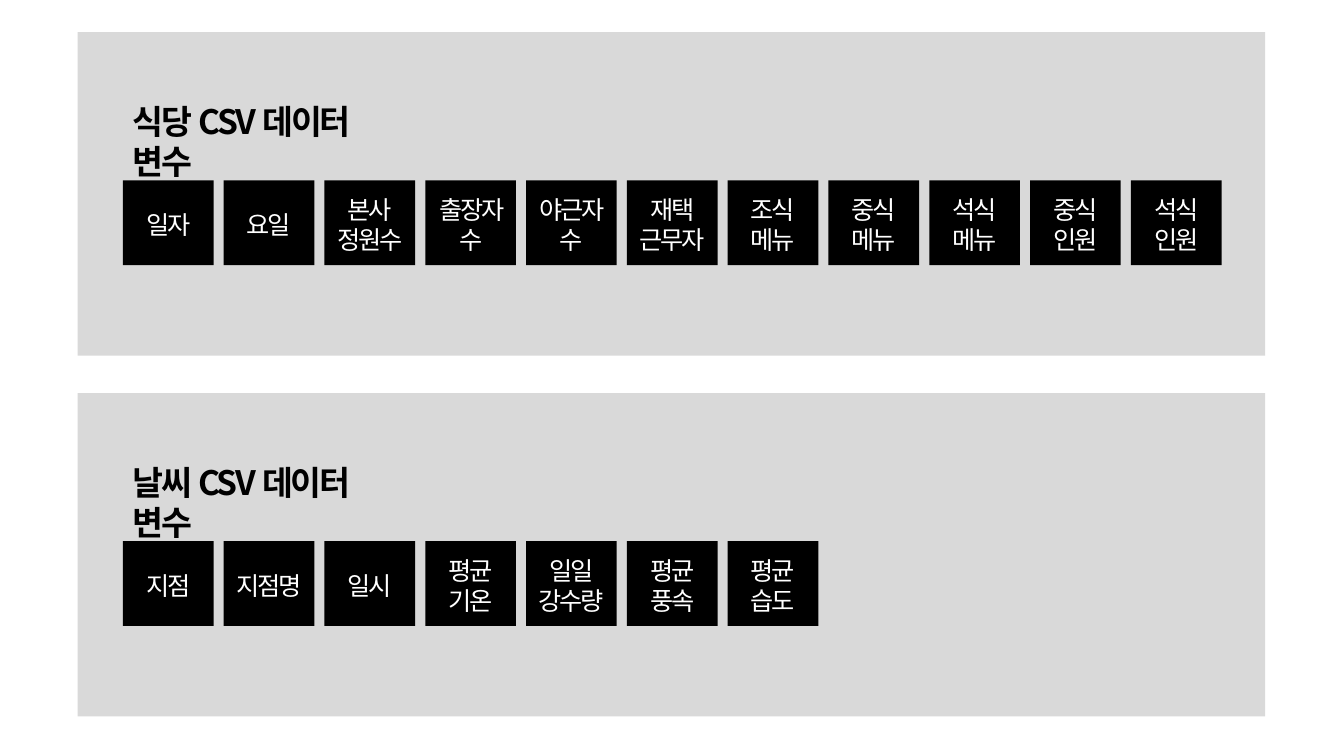
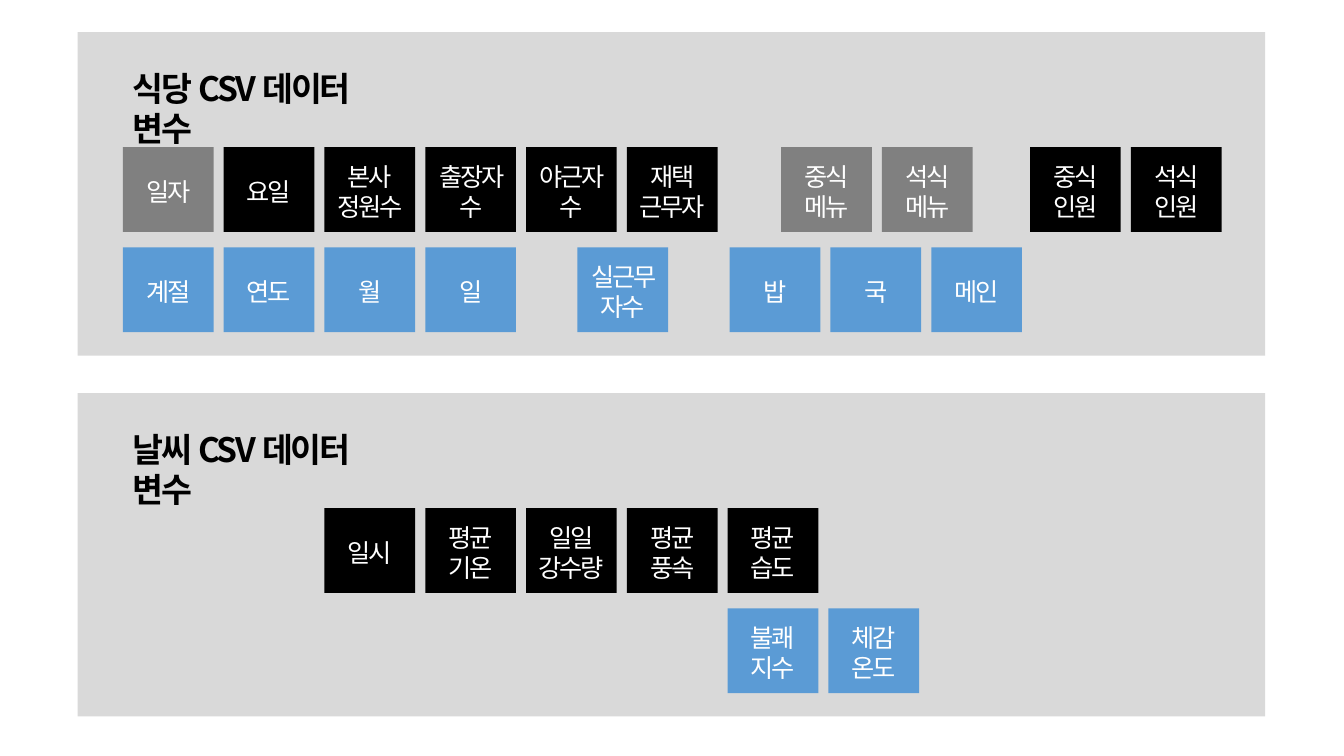
from dataclasses import dataclass

from pptx import Presentation
from pptx.dml.color import RGBColor
from pptx.enum.shapes import MSO_SHAPE as Preset
from pptx.enum.text import MSO_ANCHOR as Anchor
from pptx.enum.text import MSO_AUTO_SIZE as AutoSize
from pptx.enum.text import PP_ALIGN as Align
from pptx.shapes.autoshape import Shape
from pptx.slide import Slide
from pptx.text.text import TextFrame
from pptx.util import Pt

FONT = "Noto Sans CJK KR"
BLACK, WHITE, PANEL_GRAY = "000000", "FFFFFF", "D9D9D9"
REPLACED_GRAY, DERIVED_BLUE = "808080", "5B9BD5"
TRACKING = -1.5
LINE_RATIO = 1.19

PANEL_LEFT, PANEL_WIDTH, PANEL_HEIGHT = 55.5, 848.2, 231
PANEL_TOPS = (23, 280.8)
GRID_LEFT, COLUMN_PITCH, ROW_PITCH = 87.8, 72, 71.6
TILE_WIDTH, TILE_HEIGHT = 64.8, 60.6
HEADING_RISE, HEADING_WIDTH, HEADING_HEIGHT = 62.6, 207.4, 36


@dataclass(frozen=True)
class TileGroup:
    labels: tuple[str, ...]
    column: float = 0
    row: int = 0
    fill: str = BLACK


@dataclass(frozen=True)
class Panel:
    heading: str
    groups: tuple[TileGroup, ...]


@dataclass(frozen=True)
class Page:
    grid_offset: float
    panels: tuple[Panel, Panel]


CANTEEN_HEADING = "식당 CSV 데이터 변수"
WEATHER_HEADING = "날씨 CSV 데이터 변수"
STAFF = ("요일", "본사\n정원수", "출장자수", "야근자수", "재택\n근무자")
MENUS = ("중식\n메뉴", "석식\n메뉴")
DINERS = ("중식\n인원", "석식\n인원")
WEATHER = ("일시", "평균\n기온", "일일\n강수량", "평균\n풍속", "평균\n습도")

PAGES = (
    Page(105.8, (
        Panel(CANTEEN_HEADING, (
            TileGroup(("일자", *STAFF, "조식\n메뉴", *MENUS, *DINERS)),
        )),
        Panel(WEATHER_HEADING, (TileGroup(("지점", "지점명", *WEATHER)),)),
    )),
    Page(82.1, (
        Panel(CANTEEN_HEADING, (
            TileGroup(("일자",), fill=REPLACED_GRAY),
            TileGroup(STAFF, 1),
            TileGroup(MENUS, 6.53, fill=REPLACED_GRAY),
            TileGroup(DINERS, 9),
            TileGroup(("계절", "연도", "월", "일"), 0, 1, DERIVED_BLUE),
            TileGroup(("실근무자수",), 4.51, 1, DERIVED_BLUE),
            TileGroup(("밥", "국", "메인"), 6.02, 1, DERIVED_BLUE),
        )),
        Panel(WEATHER_HEADING, (
            TileGroup(WEATHER, 2),
            TileGroup(("불쾌\n지수", "체감\n온도"), 6, 1, DERIVED_BLUE),
        )),
    )),
)


def color(value: str) -> RGBColor:
    return RGBColor.from_string(value)


def write(frame: TextFrame, text: str, size: float, ink: str,
          align: Align, bold: bool = False) -> None:
    frame.word_wrap = True
    frame.margin_top = Pt(6)
    for index, line in enumerate(text.split("\n")):
        paragraph = frame.add_paragraph() if index else frame.paragraphs[0]
        paragraph.alignment = align
        paragraph.line_spacing = Pt(round(size * LINE_RATIO, 1))
        run = paragraph.add_run()
        run.text = line
        run.font.size = Pt(size)
        run.font.bold = bold
        run.font.name = FONT
        run.font.color.rgb = color(ink)
        properties = run._r.get_or_add_rPr()
        properties.set("spc", str(int(TRACKING * 100)))
        east_asian = properties.makeelement(
            properties.tag.replace("rPr", "ea"), {"typeface": FONT})
        properties.append(east_asian)


def draw_box(slide: Slide, left: float, top: float, width: float,
             height: float, fill: str) -> Shape:
    box = slide.shapes.add_shape(
        Preset.RECTANGLE, Pt(left), Pt(top), Pt(width), Pt(height))
    box.shadow.inherit = False
    box.fill.solid()
    box.fill.fore_color.rgb = color(fill)
    box.line.fill.background()
    return box


def draw_group(slide: Slide, group: TileGroup, grid_top: float) -> None:
    for index, label in enumerate(group.labels):
        tile = draw_box(
            slide, GRID_LEFT + (group.column + index) * COLUMN_PITCH,
            grid_top + group.row * ROW_PITCH, TILE_WIDTH, TILE_HEIGHT, group.fill)
        tile.text_frame.vertical_anchor = Anchor.MIDDLE
        write(tile.text_frame, label, 18, WHITE, Align.CENTER)


def format_heading(heading: Shape, text: str, top: float) -> None:
    heading.left, heading.top = Pt(GRID_LEFT), Pt(top)
    heading.width, heading.height = Pt(HEADING_WIDTH), Pt(HEADING_HEIGHT)
    frame = heading.text_frame
    frame.vertical_anchor = Anchor.TOP
    frame.auto_size = AutoSize.SHAPE_TO_FIT_TEXT
    write(frame, text, 24, BLACK, Align.LEFT, bold=True)


def draw_page(slide: Slide, page: Page) -> None:
    for index, (panel, top) in enumerate(zip(page.panels, PANEL_TOPS)):
        draw_box(slide, PANEL_LEFT, top, PANEL_WIDTH, PANEL_HEIGHT, PANEL_GRAY)
        grid_top = top + page.grid_offset
        for group in panel.groups:
            draw_group(slide, group, grid_top)
        if index == 0:
            heading = slide.shapes.title
            slide.shapes.element.append(heading.element)
        else:
            heading = slide.shapes.add_textbox(0, 0, 0, 0)
        format_heading(heading, panel.heading, grid_top - HEADING_RISE)


def main() -> None:
    deck = Presentation()
    deck.slide_width, deck.slide_height = Pt(960), Pt(540)
    title_only = deck.slide_layouts[5]
    for page in PAGES:
        draw_page(deck.slides.add_slide(title_only), page)
    deck.save("out.pptx")


if __name__ == "__main__":
    main()
